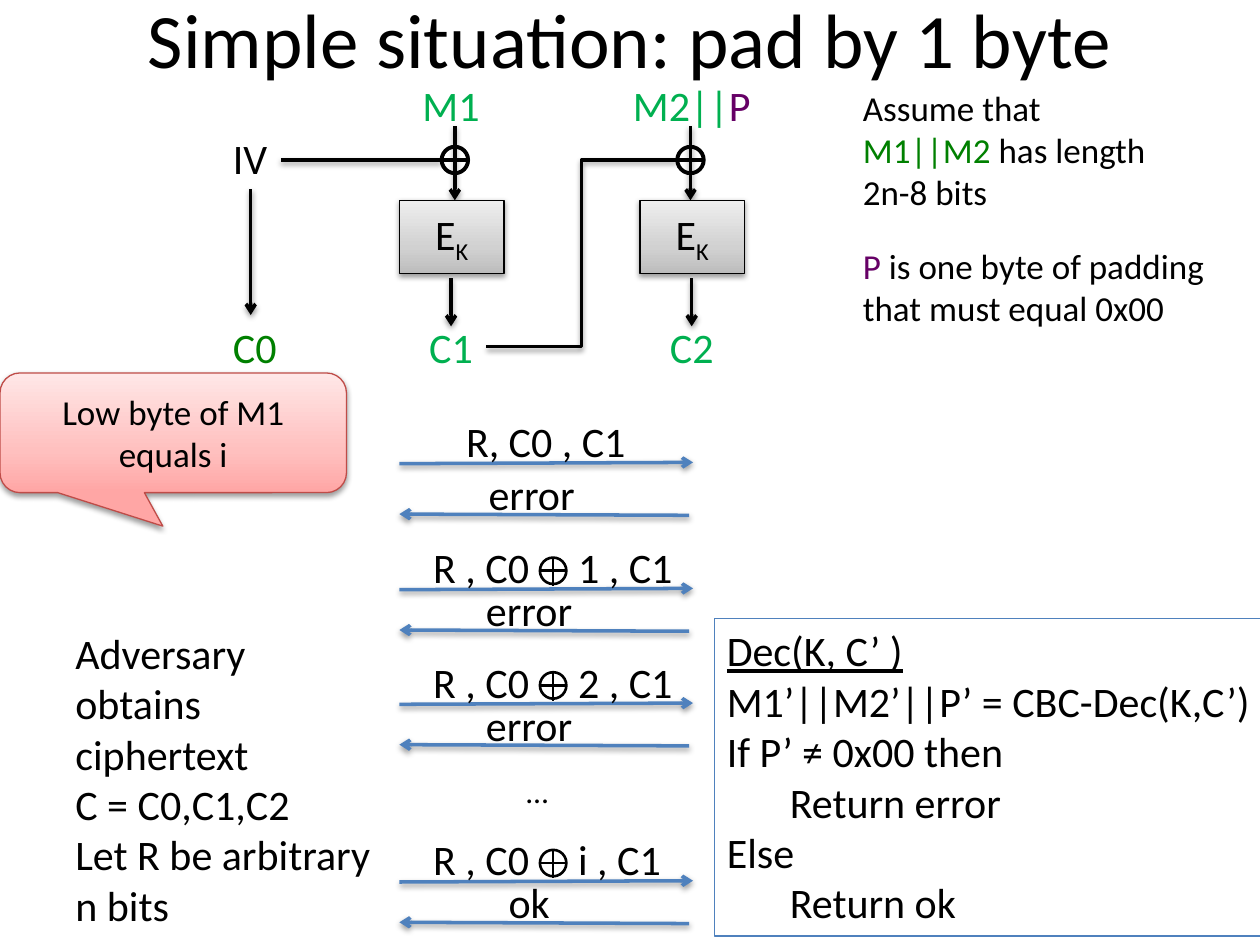
from copy import deepcopy

from lxml.etree import SubElement
from pptx import Presentation
from pptx.dml.color import RGBColor
from pptx.enum.shapes import MSO_CONNECTOR, MSO_SHAPE
from pptx.enum.text import MSO_ANCHOR, PP_ALIGN
from pptx.oxml.ns import qn
from pptx.util import Inches, Pt

COLORS = {
    "black": "000000", "blue": "4F81BD", "green": "00B050",
    "dark": "008000", "purple": "660066", "red": "BF4C48",
}
GRAY = ["BDBDBD", "D1D1D1", "EEEEEE"]
PINK = ["FFA6A5", "FFC0BF", "FFE7E7"]


def tint(name):
    return RGBColor.from_string(COLORS[name])


def write(frame, lines, size=24, color="black", align=PP_ALIGN.LEFT,
          anchor=MSO_ANCHOR.TOP, wrap=False, tab=None):
    """Fill a frame; a line is a string or a list of (text, format) runs."""
    frame.word_wrap = wrap
    frame.vertical_anchor = anchor
    for i, line in enumerate(lines):
        para = frame.add_paragraph() if i else frame.paragraphs[0]
        para.alignment = align
        if tab:
            stops = SubElement(para._p.get_or_add_pPr(), qn("a:tabLst"))
            SubElement(stops, qn("a:tab"), pos=str(Inches(tab)), algn="l")
        for text, style in [(line, {})] if isinstance(line, str) else line:
            run = para.add_run()
            run.text = text
            font = run.font
            font.name, font.size = "Calibri", Pt(size)
            font.color.rgb = tint(style.get("color", color))
            if style.get("under"):
                font.underline = True
            if style.get("sub"):
                run._r.get_or_add_rPr().set("baseline", "-25000")


def shade(item):
    """Put a soft shadow below a shape or connector."""
    props = item._element.spPr
    list_ = props.find(qn("a:effectLst"))
    if list_ is None:
        list_ = SubElement(props, qn("a:effectLst"))
    drop = SubElement(list_, qn("a:outerShdw"), blurRad="40000", dist="20000",
                      dir="5400000", rotWithShape="0")
    color = SubElement(drop, qn("a:srgbClr"), val=COLORS["black"])
    SubElement(color, qn("a:alpha"), val="38000")


class Board:
    def __init__(self, slide):
        self.shapes = slide.shapes

    def text(self, x, y, w, h, *lines, **style):
        box = self.shapes.add_textbox(Inches(x), Inches(y), Inches(w), Inches(h))
        write(box.text_frame, lines, **style)

    def label(self, x, y, w, *lines, **style):
        """Centre one row of text on x."""
        self.text(x - w / 2, y, w, 0.5, *lines, align=PP_ALIGN.CENTER, **style)

    def shape(self, kind, x, y, w, h, line="black", width=0.75, grad=None):
        item = self.shapes.add_shape(kind, Inches(x), Inches(y), Inches(w), Inches(h))
        item.shadow.inherit = False
        item.line.color.rgb = tint(line)
        item.line.width = Pt(width)
        if not grad:
            item.fill.background()
            return item
        item.fill.gradient()
        item.fill.gradient_angle = 90
        stops = item._element.spPr.find(qn("a:gradFill")).find(qn("a:gsLst"))
        stops.insert(1, deepcopy(stops[0]))
        for stop, place, color in zip(item.fill.gradient_stops, (0, 0.35, 1), grad):
            stop.position = place
            stop.color.rgb = RGBColor.from_string(color)
        shade(item)
        return item

    def line(self, x1, y1, x2, y2, color="black", width=2, head=False,
             shadow=True, kind=MSO_CONNECTOR.STRAIGHT):
        item = self.shapes.add_connector(
            kind, Inches(x1), Inches(y1), Inches(x2), Inches(y2))
        item.line.color.rgb = tint(color)
        item.line.width = Pt(width)
        if head:
            SubElement(item.line._get_or_add_ln(), qn("a:tailEnd"), type="arrow")
        if shadow:
            shade(item)
        else:
            SubElement(item._element.spPr, qn("a:effectLst"))

    def arrow(self, x1, y1, x2, y2, color="black"):
        self.line(x1, y1, x2, y2, color, head=True)

    def xor(self, x, y, width):
        """Draw a circle with a bar, centred on x and y."""
        d = 0.21
        self.shape(MSO_SHAPE.OVAL, x - d / 2, y - d / 2, d, d, width=width)
        self.line(x - d / 2, y, x + d / 2, y, width=width, shadow=False)

    def block(self, x, top, plain, cipher):
        """Draw one column of the cipher chain."""
        self.label(x, 0.58, 1.14, plain, color="green")
        self.arrow(top, 1, top, 1.59)
        self.xor(top, 1.27, 2.25)
        box = self.shape(MSO_SHAPE.RECTANGLE, x - 0.41, 1.59, 0.83, 0.58, grad=GRAY)
        write(box.text_frame, [[("E", {}), ("K", {"sub": True})]],
              align=PP_ALIGN.CENTER, anchor=MSO_ANCHOR.MIDDLE, wrap=True)
        self.arrow(x, 2.21, x, 2.59)
        self.label(x, 2.5, 0.55, cipher, color="green")

    def trade(self, send, back):
        """Draw a query arrow and the reply arrow under it."""
        self.arrow(3.17, send, 5.5, send - 0.01, "blue")
        self.arrow(5.47, back, 3.17, back - 0.01, "blue")

    def query(self, y, mask, reply):
        self.trade(y + 0.43, y + 0.76)
        self.label(4.2, y + 0.34, 0.9, reply)
        self.text(3.34, y, 2.3, 0.5, f"R , C0\t{mask} , C1", wrap=True, tab=1.15)
        self.line(4.39, y + 0.17, 4.39, y + 0.4, width=1.25, shadow=False)
        self.xor(4.39, y + 0.28, 1.5)


def main():
    deck = Presentation()
    deck.slide_width, deck.slide_height = Inches(10), Inches(7.5)
    board = Board(deck.slides.add_slide(deck.slide_layouts[6]))

    board.text(0.5, -0.33, 9, 1.25, "Simple situation: pad by 1 byte", size=44,
               align=PP_ALIGN.CENTER, anchor=MSO_ANCHOR.MIDDLE, wrap=True)

    board.block(3.58, 3.61, "M1", "C1")
    board.block(5.49, 5.48, [("M2||", {}), ("P", {"color": "purple"})], "C2")
    board.text(1.75, 1, 0.48, 0.5, "IV")
    board.text(1.75, 2.5, 0.55, 0.5, "C0", color="dark")
    board.arrow(1.99, 1.5, 1.99, 2.5)
    board.line(2.23, 1.27, 3.5, 1.27)
    board.line(3.86, 2.75, 5.37, 1.27, kind=MSO_CONNECTOR.ELBOW)

    board.text(6.75, 0.64, 2.47, 1.11, "Assume that",
               [("M1||M2", {"color": "dark"}), (" has length", {})],
               "2n-8 bits", size=20)
    board.text(6.75, 1.89, 2.93, 0.77,
               [("P", {"color": "purple"}), (" is one byte of padding", {})],
               "that must equal 0x00", size=20)

    board.trade(3.68, 4.09)
    board.text(3.6, 3.25, 1.48, 0.5, "R, C0 , C1")
    board.label(4.22, 3.67, 0.9, "error")
    for y, mask, reply in ((4.25, "1", "error"), (5.16, "2", "error"), (6.57, "i", "ok")):
        board.query(y, mask, reply)
    board.text(4.08, 6.08, 0.38, 0.4, "…", size=18)

    board.text(0.5, 4.93, 2.57, 2.52, "Adversary", "obtains", "ciphertext",
               "C = C0,C1,C2", "Let R be arbitrary", "n bits")
    note = board.shape(MSO_SHAPE.ROUNDED_RECTANGULAR_CALLOUT, 0, 2.96, 2.75, 0.95,
                       line="red", grad=PINK)
    note.adjustments[0], note.adjustments[1] = -0.03, 0.78
    write(note.text_frame, ["Low byte of M1 equals i"], size=20,
          align=PP_ALIGN.CENTER, anchor=MSO_ANCHOR.MIDDLE, wrap=True)
    code = board.shape(MSO_SHAPE.RECTANGLE, 5.67, 4.91, 5, 2.52, line="blue")
    write(code.text_frame,
          [[("Dec(K, C’ )", {"under": True})], "M1’||M2’||P’ = CBC-Dec(K,C’)",
           "If P’ ≠ 0x00 then", "\tReturn error", "Else", "\tReturn ok"],
          wrap=True, tab=0.5)

    deck.save("out.pptx")


if __name__ == "__main__":
    main()
